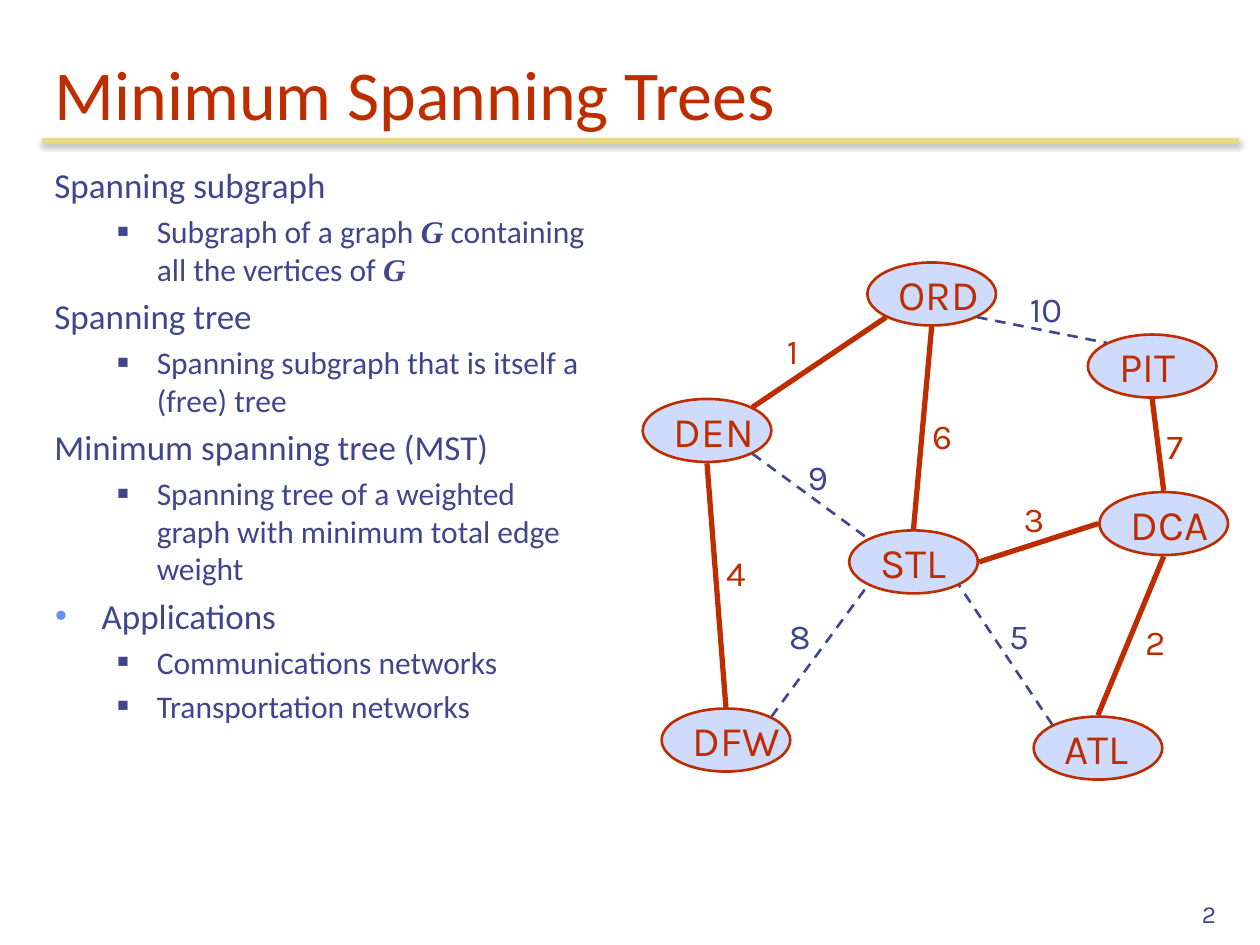
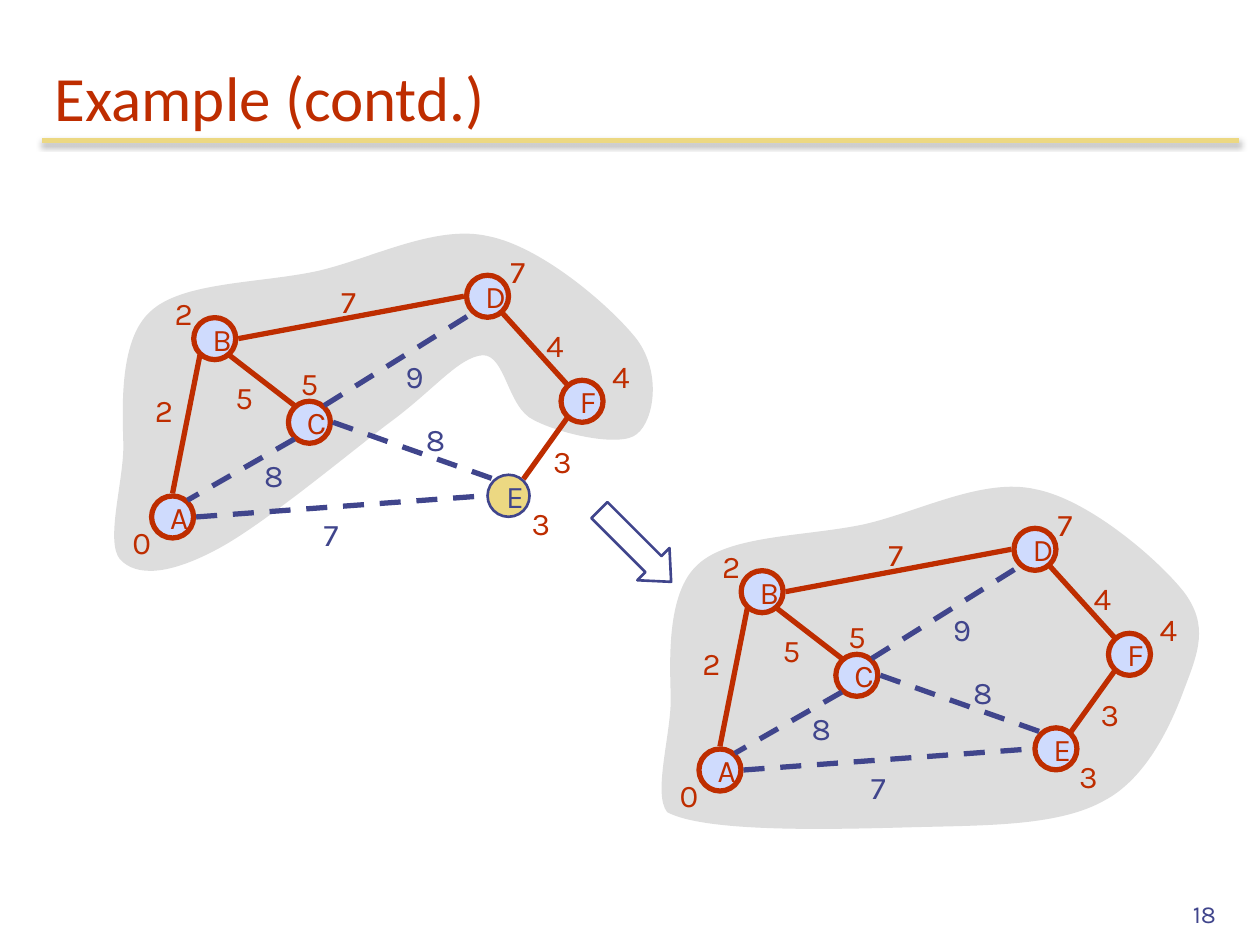
import math

import lxml.etree
import pptx
import pptx.dml.color
import pptx.enum.dml
import pptx.enum.shapes
import pptx.enum.text
import pptx.oxml.ns
import pptx.util

Pt = pptx.util.Pt
qn = pptx.oxml.ns.qn
SHAPES = pptx.enum.shapes.MSO_SHAPE
ANCHOR = pptx.enum.text.MSO_ANCHOR
ALIGN = pptx.enum.text.PP_ALIGN
FIT = pptx.enum.text.MSO_AUTO_SIZE

COLORS = {"red": "BE2D00", "blue": "40458C", "gold": "ECD882", "node": "CFDBFD",
          "cloud": "DDDDDD", "dot": "6F89F7", "shadow": "000000"}
TEXT_FONT, GRAPH_FONT, MATH_FONT = "Calibri", "Karla", "Times New Roman"

# Compass sides of a node as angles, clockwise from the right
SIDES = {side: math.radians(45 * step)
         for step, side in enumerate(["E", "SE", "S", "SW", "W", "NW", "N", "NE"])}

# Edge: node, side, node, side, weight, is in the tree, centre of the weight
AIRPORTS = {"ORD": (166.4, 20), "PIT": (292.4, 61.2), "ATL": (261.4, 279.5),
            "STL": (156, 173.1), "DEN": (38, 98), "DFW": (48.8, 274.9),
            "DCA": (299, 151.2)}
ROUTES = [
    ("DEN", "NE", "ORD", "SW", 1, True, (89.6, 52.5)),
    ("STL", "N", "ORD", "S", 6, True, (172.5, 100.8)),
    ("STL", "E", "DCA", "W", 3, True, (224.8, 148.3)),
    ("DCA", "N", "PIT", "S", 7, True, (306.5, 106.5)),
    ("ORD", "SE", "PIT", "NW", 10, False, (233.4, 28)),
    ("DEN", "S", "DFW", "N", 4, True, (54.8, 179.2)),
    ("DCA", "S", "ATL", "N", 2, True, (294.3, 218.8)),
    ("ATL", "NW", "STL", "SE", 5, False, (216.6, 215.4)),
    ("DFW", "NE", "STL", "SW", 8, False, (90.8, 215.4)),
    ("DEN", "SE", "STL", "NW", 9, False, (101.4, 124.5)),
]
VERTICES = {"B": (62.7, 65.5), "D": (218.6, 41.3), "C": (116.8, 113.3),
            "A": (38.6, 167.4), "F": (272.6, 101.3), "E": (230.6, 155.3)}
EDGES = [
    ("B", "SE", "C", "NW", 5, True, (79.4, 99)),
    ("C", "SW", "A", "NE", 8, False, (95.9, 143.6)),
    ("B", "SW", "A", "N", 2, True, (33.4, 106.2)),
    ("C", "E", "E", "NW", 8, False, (188.2, 122.9)),
    ("A", "E", "E", "W", 7, False, (129.8, 177)),
    ("B", "E", "D", "W", 7, True, (139.8, 44.2)),
    ("C", "NE", "D", "SW", 9, False, (176.6, 87)),
    ("F", "NW", "D", "SE", 4, True, (257, 69)),
    ("E", "NE", "F", "SW", 3, True, (261, 135.6)),
]
DISTANCES = [(0, (20.5, 181.8)), (3, (248.7, 171)), (2, (44.7, 51)),
             (5, (116.7, 91)), (4, (294.7, 87)), (7, (236.5, 26.9))]

# Clouds as chained cubic curves: a start, then two handles and an end each
CLOUD_LEFT = [(10.5, 125.5), (11, 146), (0, 181), (8.5, 191.5)]
CLOUD_TOP = [(290, 48), (250, 13), (219, 7), (189, 0), (152, 20), (121, 27),
             (88, 34), (44, 33), (26, 50), (8, 66), (10, 105), (10.5, 125.5)]
CLOUD_WITHOUT_E = CLOUD_LEFT + [
    (18, 202), (37, 200), (62, 187), (88, 174), (137, 133), (162, 114),
    (188, 95), (202, 76), (216, 75), (229, 75), (230, 105), (245, 112),
    (260, 120), (295, 128), (304, 120), (314, 112), (318, 85), (304, 66)] + CLOUD_TOP
CLOUD_WITH_E = CLOUD_LEFT + [
    (32, 204), (112, 201), (153, 200), (194, 199), (233, 199), (258, 185),
    (283, 172), (297, 140), (304, 121), (312, 100), (318, 85), (304, 66)] + CLOUD_TOP

# Outline: level and text, with mathematical symbols between asterisks
OUTLINE = [
    ("topic", "Spanning subgraph"),
    ("detail", "Subgraph of a graph *G* containing all the vertices of *G*"),
    ("topic", "Spanning tree"),
    ("detail", "Spanning subgraph that is itself a (free) tree"),
    ("topic", "Minimum spanning tree (MST)"),
    ("detail", "Spanning tree of a weighted graph with minimum total edge weight"),
    ("bulleted", "Applications"),
    ("detail", "Communications networks"),
    ("detail", "Transportation networks"),
]
# Level: size, left margin, hanging indent, bullet (character, colour, percent)
LEVELS = {"topic": (20, 27, 27, None),
          "bulleted": (20, 27, 27, ("•", "dot", 110)),
          "detail": (18, 58.5, 22.5, ("■", "blue", 60))}


def rgb(color):
    return pptx.dml.color.RGBColor.from_string(COLORS[color])


def set_font(font, name, size, color):
    font.name, font.size = name, Pt(size)
    font.color.rgb = rgb(color)


def paint(shape, fill, line=None, width=0):
    shape.shadow.inherit = False
    if fill:
        shape.fill.solid()
        shape.fill.fore_color.rgb = rgb(fill)
    else:
        shape.fill.background()
    if line:
        shape.line.color.rgb = rgb(line)
        shape.line.width = Pt(width)
    else:
        shape.line.fill.background()


def add_line(slide, start, end, color, width, dashed=False):
    """Draws a straight line and returns its empty effect list."""
    line = slide.shapes.add_connector(pptx.enum.shapes.MSO_CONNECTOR.STRAIGHT,
                                      *[Pt(v) for v in (*start, *end)])
    line.line.color.rgb = rgb(color)
    line.line.width = Pt(width)
    if dashed:
        line.line.dash_style = pptx.enum.dml.MSO_LINE.DASH
    return lxml.etree.SubElement(line._element.spPr, qn("a:effectLst"))


def add_frame(slide, title, title_size, number):
    """Title, shadowed rule and slide number."""
    effects = add_line(slide, (24, 80.5), (708, 80.5), "gold", 3)
    shadow = lxml.etree.SubElement(effects, qn("a:outerShdw"), blurRad=str(Pt(3.1)),
                                   dist=str(Pt(1.8)), dir="5400000", rotWithShape="0")
    tint = lxml.etree.SubElement(shadow, qn("a:srgbClr"), val=COLORS["shadow"])
    lxml.etree.SubElement(tint, qn("a:alpha"), val="35000")

    heading = slide.shapes.title
    heading.left, heading.top, heading.width, heading.height = Pt(24), Pt(24), Pt(684), Pt(56.25)
    frame = heading.text_frame
    frame.text = title
    frame.auto_size, frame.vertical_anchor = FIT.NONE, ANCHOR.BOTTOM
    frame.paragraphs[0].alignment = ALIGN.LEFT
    set_font(frame.paragraphs[0].runs[0].font, TEXT_FONT, title_size, "red")

    page = slide.shapes.add_textbox(Pt(552), Pt(498), Pt(150), Pt(36)).text_frame
    page.text = str(number)
    page.word_wrap, page.vertical_anchor = True, ANCHOR.BOTTOM
    page.paragraphs[0].alignment = ALIGN.RIGHT
    set_font(page.paragraphs[0].runs[0].font, GRAPH_FONT, 14, "blue")


def add_outline(slide, left, top, width, height):
    body = slide.shapes.add_textbox(Pt(left), Pt(top), Pt(width), Pt(height)).text_frame
    body.word_wrap = True
    for index, (level, text) in enumerate(OUTLINE):
        size, margin, hanging, bullet = LEVELS[level]
        paragraph = body.add_paragraph() if index else body.paragraphs[0]
        properties = paragraph._p.get_or_add_pPr()
        properties.set("marL", str(Pt(margin)))
        properties.set("indent", str(-Pt(hanging)))
        if bullet:
            character, color, percent = bullet
            tint = lxml.etree.SubElement(properties, qn("a:buClr"))
            lxml.etree.SubElement(tint, qn("a:srgbClr"), val=COLORS[color])
            lxml.etree.SubElement(properties, qn("a:buSzPct"), val=str(percent * 1000))
            lxml.etree.SubElement(properties, qn("a:buFont"), typeface=MATH_FONT)
            lxml.etree.SubElement(properties, qn("a:buChar"), char=character)
        if index:
            paragraph.space_before = Pt(size * 0.2)
        for part, words in enumerate(text.split("*")):
            if words:
                run = paragraph.add_run()
                run.text = words
                symbol = part % 2 == 1
                set_font(run.font, MATH_FONT if symbol else TEXT_FONT, size, "blue")
                run.font.bold = run.font.italic = symbol


def add_number(slide, value, center, size, color):
    width, height = (36 if value > 9 else size + 6), size + 11
    label = slide.shapes.add_textbox(Pt(center[0] - width / 2), Pt(center[1] - height / 2),
                                     Pt(width), Pt(height)).text_frame
    label.text = str(value)
    label.word_wrap, label.auto_size = False, FIT.SHAPE_TO_FIT_TEXT
    set_font(label.paragraphs[0].runs[0].font, GRAPH_FONT, size, color)


def add_graph(slide, left, top, nodes, edges, node_size, outline, dash_width,
              node_text, weight_text, distances=(), fringe=()):
    """Nodes, edges and weights, measured from the left top corner."""
    width, height = node_size

    def place(point):
        return left + point[0], top + point[1]

    def site(name, side):
        x, y = place(nodes[name])
        gap = outline if side in "EW" else 0
        return (x + (width + gap) / 2 * math.cos(SIDES[side]),
                y + (height + outline) / 2 * math.sin(SIDES[side]))

    for name, center in nodes.items():
        x, y = place(center)
        node = slide.shapes.add_shape(SHAPES.OVAL, Pt(x - width / 2), Pt(y - height / 2),
                                      Pt(width), Pt(height))
        fill, ink, line = ("gold", "blue", 1.5) if name in fringe else ("node", "red", outline)
        paint(node, fill, ink, line)
        frame = node.text_frame
        frame.text = name
        frame.word_wrap, frame.vertical_anchor = False, ANCHOR.MIDDLE
        frame.paragraphs[0].alignment = ALIGN.LEFT
        set_font(frame.paragraphs[0].runs[0].font, GRAPH_FONT, node_text, ink)

    for first, first_side, second, second_side, _, in_tree, _ in edges:
        add_line(slide, site(first, first_side), site(second, second_side),
                 "red" if in_tree else "blue", 3 if in_tree else dash_width, not in_tree)

    for *_, weight, in_tree, center in edges:
        add_number(slide, weight, place(center), weight_text, "red" if in_tree else "blue")
    for distance, center in distances:
        add_number(slide, distance, place(center), weight_text, "red")


def add_cloud(slide, left, top, curve):
    points = [(Pt(left + x), Pt(top + y)) for x, y in curve]
    builder = slide.shapes.build_freeform(*points[0])
    builder.add_line_segments(points[1:], close=True)
    cloud = builder.convert_to_shape()
    paint(cloud, "cloud")
    # Join every three straight segments into one cubic curve
    segments = list(cloud._element.iter(qn("a:lnTo")))
    for index in range(0, len(segments), 3):
        bend = lxml.etree.Element(qn("a:cubicBezTo"))
        segments[index].addprevious(bend)
        for segment in segments[index:index + 3]:
            bend.append(segment[0])
            segment.getparent().remove(segment)


def add_step(slide, left, top, cloud, fringe=()):
    """One stage of the algorithm: the cloud and the graph over it."""
    add_cloud(slide, left, top, cloud)
    add_graph(slide, left, top, VERTICES, EDGES, (24, 24), 3, 3, 18, 18, DISTANCES, fringe)


def build_definitions(slide):
    add_frame(slide, "Minimum Spanning Trees", 40, 2)
    add_outline(slide, 24, 90, 321, 408)
    add_graph(slide, 366, 148, AIRPORTS, ROUTES, (73.5, 36), 1.5, 1.5, 24, 20)


def build_example(slide):
    add_frame(slide, "Example (contd.)", 36, 18)
    add_step(slide, 60, 128, CLOUD_WITHOUT_E, fringe="E")
    add_step(slide, 372.8, 272.6, CLOUD_WITH_E)
    arrow = slide.shapes.add_shape(SHAPES.RIGHT_ARROW, Pt(334), Pt(299), Pt(58), Pt(26))
    arrow.adjustments[0], arrow.adjustments[1] = 0.5, 0.55
    arrow.rotation = 45
    paint(arrow, None, "blue", 1.5)


def main():
    deck = pptx.Presentation()
    deck.slide_width, deck.slide_height = Pt(720), Pt(540)
    for build in (build_definitions, build_example):
        build(deck.slides.add_slide(deck.slide_layouts[5]))
    deck.save("out.pptx")


if __name__ == "__main__":
    main()
